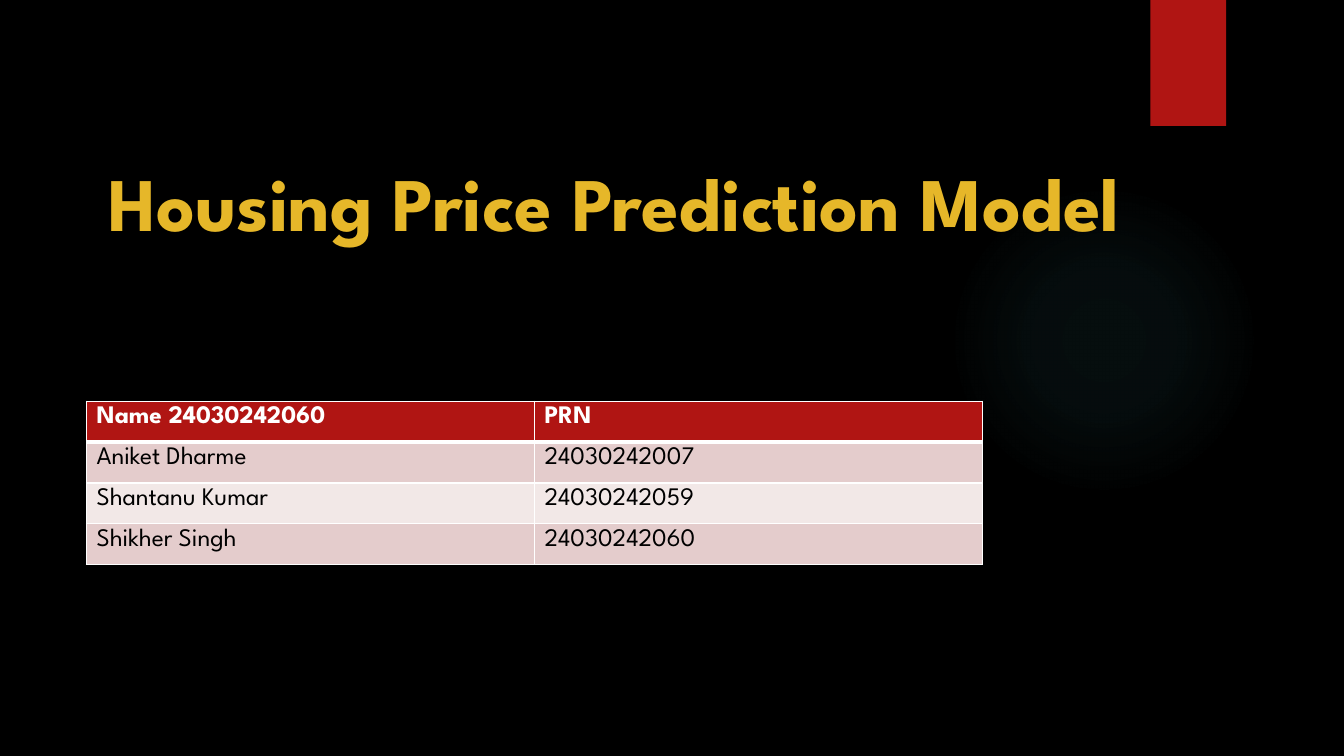
from dataclasses import dataclass

from lxml import etree
from pptx import Presentation
from pptx import util as u
from pptx.dml.color import RGBColor
from pptx.enum import shapes, text
from pptx.oxml import ns

FONT = "League Spartan"
RED, GOLD, WHITE, BLACK, TEAL = "B01513", "E6B729", "FFFFFF", "000000", "50B9C1"
BANDS = ("E4CCCC", "F2E8E7")
GLOW_STOPS = ((0, 7), (36, 6), (69, 0))  # position %, opacity %
HEADER_RULE, THIN_RULE = 3, 1
ROW_HEIGHT, COLUMN_WIDTH = 29.2, 320


@dataclass
class Box:
    left: float
    top: float
    width: float
    height: float

    def lengths(self) -> list:
        return [u.Pt(v) for v in (self.left, self.top, self.width, self.height)]


@dataclass
class Row:
    cells: tuple[str, str]
    fill: str
    color: str = BLACK
    bold: bool = False
    rule_above: float = THIN_RULE
    rule_below: float = THIN_RULE


MEMBERS = (
    ("Aniket Dharme", "24030242007"),
    ("Shantanu Kumar", "24030242059"),
    ("Shikher Singh", "24030242060"),
)
ROWS = [Row(("Name 24030242060", "PRN"), RED, WHITE, True, rule_below=HEADER_RULE)]
ROWS += [
    Row(member, BANDS[i % 2], rule_above=THIN_RULE if i else HEADER_RULE)
    for i, member in enumerate(MEMBERS)
]


def rgb(color: str) -> RGBColor:
    return RGBColor.from_string(color)


def child(parent, tag: str, **attrs):
    """Append a DrawingML element to parent."""
    return etree.SubElement(parent, ns.qn(f"a:{tag}"), {k: str(v) for k, v in attrs.items()})


def set_text(p, content: str, color: str, **fmt) -> None:
    r = p.add_run()
    r.text = content
    r.font.color.rgb = rgb(color)
    for name, value in {"name": FONT, **fmt}.items():
        setattr(r.font, name, value)


def add_plain(slide, kind, box: Box, color: str):
    sp = slide.shapes.add_shape(kind, *box.lengths())
    sp.shadow.inherit = False
    sp.fill.solid()
    sp.fill.fore_color.rgb = rgb(color)
    sp.line.fill.background()
    return sp


def add_glow(slide, box: Box) -> None:
    """Draw a translucent ellipse that fades out from its centre."""
    sp = add_plain(slide, shapes.MSO_SHAPE.OVAL, box, TEAL)
    solid = sp.fill.fore_color and sp.element.spPr.find(ns.qn("a:solidFill"))
    grad = etree.Element(ns.qn("a:gradFill"), rotWithShape="1")
    stops = child(grad, "gsLst")
    for pos, opacity in GLOW_STOPS:
        color = child(child(stops, "gs", pos=pos * 1000), "srgbClr", val=TEAL)
        child(color, "alpha", val=opacity * 1000)
    radial = child(grad, "path", path="circle")
    child(radial, "fillToRect", l=50000, t=50000, r=50000, b=50000)
    sp.element.spPr.replace(solid, grad)


def add_title(slide, box: Box, content: str) -> None:
    tf = slide.shapes.add_textbox(*box.lengths()).text_frame
    tf.word_wrap = False
    tf.auto_size = text.MSO_AUTO_SIZE.SHAPE_TO_FIT_TEXT
    p = tf.paragraphs[0]
    p.alignment = text.PP_ALIGN.CENTER
    set_text(p, content, GOLD, size=u.Pt(54), bold=True)


def set_borders(cell, row: Row) -> None:
    tc_pr = cell._tc.get_or_add_tcPr()
    rules = {"lnL": THIN_RULE, "lnR": THIN_RULE, "lnT": row.rule_above, "lnB": row.rule_below}
    for tag, width in rules.items():
        line = child(tc_pr, tag, w=u.Pt(width))
        child(child(line, "solidFill"), "srgbClr", val=WHITE)


def add_members(slide, left: float, top: float, rows: list[Row]) -> None:
    columns = len(rows[0].cells)
    box = Box(left, top, COLUMN_WIDTH * columns, ROW_HEIGHT * len(rows))
    table = slide.shapes.add_table(len(rows), columns, *box.lengths()).table
    for column in table.columns:
        column.width = u.Pt(COLUMN_WIDTH)
    for i, row in enumerate(rows):
        table.rows[i].height = u.Pt(ROW_HEIGHT)
        for j, content in enumerate(row.cells):
            cell = table.cell(i, j)
            set_borders(cell, row)
            cell.fill.solid()
            cell.fill.fore_color.rgb = rgb(row.fill)
            p = cell.text_frame.paragraphs[0]
            set_text(p, content, row.color, size=u.Pt(18), bold=row.bold)


def main() -> None:
    prs = Presentation()
    prs.slide_width, prs.slide_height = u.Pt(960), u.Pt(540)
    slide = prs.slides.add_slide(prs.slide_layouts[6])
    slide.background.fill.solid()
    slide.background.fill.fore_color.rgb = rgb(BLACK)
    add_glow(slide, Box(677.5, 131.8, 221.8, 221.8))
    add_plain(slide, shapes.MSO_SHAPE.RECTANGLE, Box(821.8, 0, 54, 90), RED)
    add_title(slide, Box(21.6, 108, 834.5, 72.7), "Housing Price Prediction Model")
    add_members(slide, 61.8, 286.6, ROWS)
    prs.save("out.pptx")


if __name__ == "__main__":
    main()
